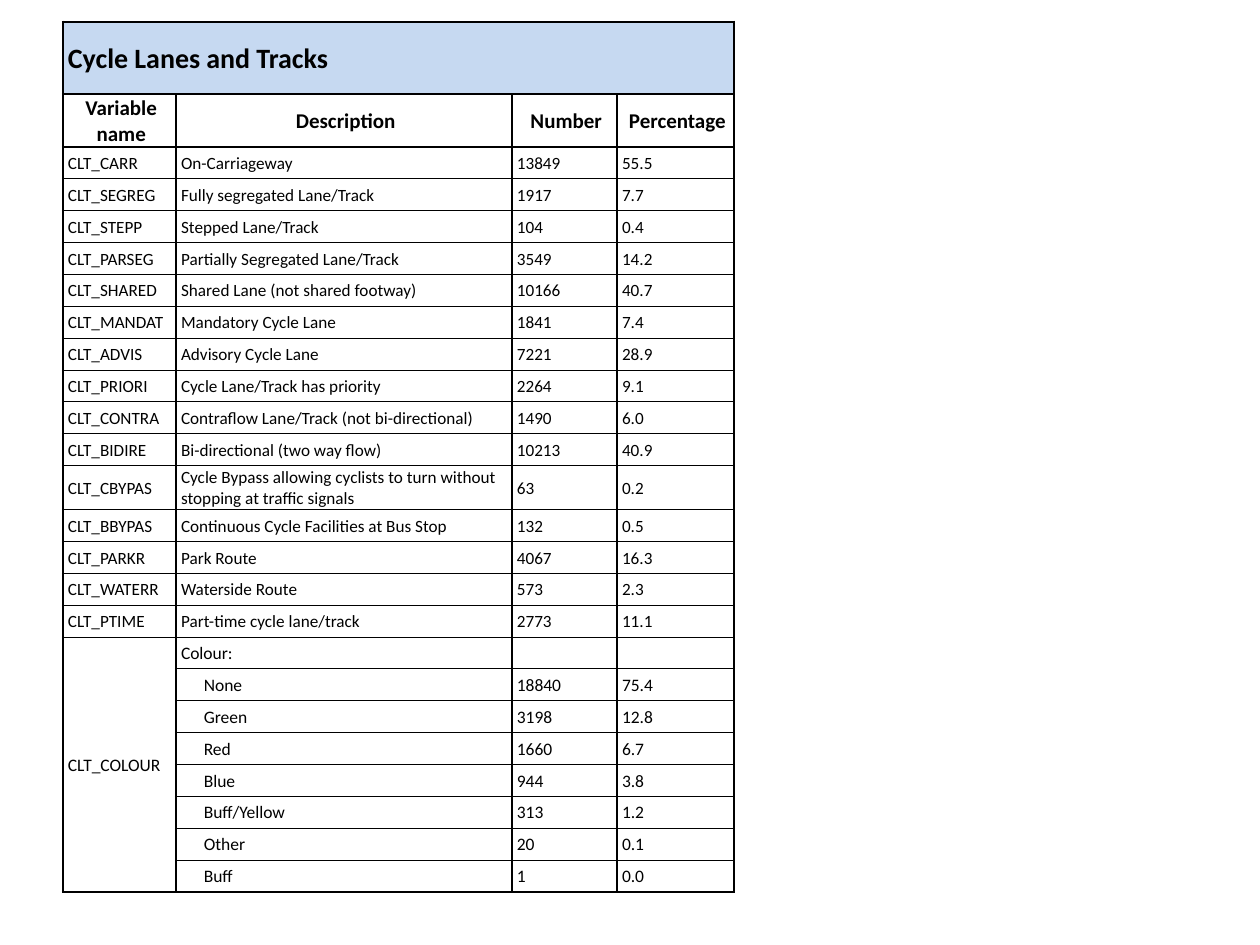
from lxml.etree import SubElement
from pptx import Presentation
from pptx.dml.color import RGBColor
from pptx.enum.text import MSO_ANCHOR, PP_ALIGN
from pptx.oxml.ns import qn
from pptx.util import Cm, Pt

BLACK = RGBColor(0x00, 0x00, 0x00)
WHITE = RGBColor(0xFF, 0xFF, 0xFF)
LIGHT_BLUE = RGBColor(0xC6, 0xD9, 0xF1)

FONT = "Calibri"
THICK, THIN = Pt(1.5), Pt(0.5)
INDENT = Cm(0.46)

COL_WIDTHS = [Cm(2.28), Cm(6.77), Cm(2.12), Cm(2.36)]
TITLE_H, HEADER_H, BYPASS_H = Cm(1.46), Cm(1.06), Cm(0.89)
TABLE_H = Cm(17.55)

TITLE = "Cycle Lanes and Tracks"
HEADERS = ["Variable name", "Description", "Number", "Percentage"]
BYPASS = "CLT_CBYPAS"
VARIABLES = [
    ("CLT_CARR", "On-Carriageway", "13849", "55.5"),
    ("CLT_SEGREG", "Fully segregated Lane/Track", "1917", "7.7"),
    ("CLT_STEPP", "Stepped Lane/Track", "104", "0.4"),
    ("CLT_PARSEG", "Partially Segregated Lane/Track", "3549", "14.2"),
    ("CLT_SHARED", "Shared Lane (not shared footway)", "10166", "40.7"),
    ("CLT_MANDAT", "Mandatory Cycle Lane", "1841", "7.4"),
    ("CLT_ADVIS", "Advisory Cycle Lane", "7221", "28.9"),
    ("CLT_PRIORI", "Cycle Lane/Track has priority", "2264", "9.1"),
    ("CLT_CONTRA", "Contraflow Lane/Track (not bi-directional)", "1490", "6.0"),
    ("CLT_BIDIRE", "Bi-directional (two way flow)", "10213", "40.9"),
    (BYPASS, "Cycle Bypass allowing cyclists to turn without\n"
             "stopping at traffic signals", "63", "0.2"),
    ("CLT_BBYPAS", "Continuous Cycle Facilities at Bus Stop", "132", "0.5"),
    ("CLT_PARKR", "Park Route", "4067", "16.3"),
    ("CLT_WATERR", "Waterside Route", "573", "2.3"),
    ("CLT_PTIME", "Part-time cycle lane/track", "2773", "11.1"),
]
COLOURS = [
    ("CLT_COLOUR", "Colour:", "", ""),
    ("", "None", "18840", "75.4"),
    ("", "Green", "3198", "12.8"),
    ("", "Red", "1660", "6.7"),
    ("", "Blue", "944", "3.8"),
    ("", "Buff/Yellow", "313", "1.2"),
    ("", "Other", "20", "0.1"),
    ("", "Buff", "1", "0.0"),
]


def set_borders(cell, top, bottom):
    """Thick sides, with the given widths above and below."""
    tc_pr = cell._tc.get_or_add_tcPr()
    for side, width in (("L", THICK), ("R", THICK), ("T", top), ("B", bottom)):
        ln = SubElement(tc_pr, qn(f"a:ln{side}"), w=str(int(width)))
        fill = SubElement(ln, qn("a:solidFill"))
        SubElement(fill, qn("a:srgbClr"), val=str(BLACK))


def style_cell(cell, fill, top=THIN, bottom=THIN):
    set_borders(cell, top, bottom)
    cell.fill.solid()
    cell.fill.fore_color.rgb = fill
    cell.vertical_anchor = MSO_ANCHOR.MIDDLE
    cell.margin_left, cell.margin_right = Cm(0.1), Cm(0.03)
    cell.margin_top, cell.margin_bottom = Cm(0.03), 0


def write_cell(cell, text, size, bold=False, align=PP_ALIGN.LEFT, indent=0):
    tf = cell.text_frame
    for i, line in enumerate(text.split("\n")):
        p = tf.add_paragraph() if i else tf.paragraphs[0]
        p.alignment = align
        if indent:
            p._p.get_or_add_pPr().set("marL", str(int(indent)))
        if not line:
            # An empty cell needs a small size to keep its row low
            SubElement(p._p, qn("a:endParaRPr"), sz=str(int(size * 100)))
            continue
        r = p.add_run()
        r.text = line
        r.font.name = FONT
        r.font.size = Pt(size)
        r.font.bold = bold
        r.font.color.rgb = BLACK


def add_grid(slide, n_rows):
    table = slide.shapes.add_table(n_rows, len(COL_WIDTHS), Cm(1.27), Cm(0.44),
                                   sum(COL_WIDTHS), TABLE_H).table
    table.first_row = table.horz_banding = False
    for column, width in zip(table.columns, COL_WIDTHS):
        column.width = width
    return table


def set_row_heights(table, body):
    special = TITLE_H + HEADER_H + BYPASS_H
    row_h = (TABLE_H - special) // (len(body) - 1)
    heights = [TITLE_H, HEADER_H]
    heights += [BYPASS_H if row[0] == BYPASS else row_h for row in body]
    for row, height in zip(table.rows, heights):
        row.height = height


def fill_heading(table):
    for c, header in enumerate(HEADERS):
        style_cell(table.cell(0, c), LIGHT_BLUE, THICK, THICK)
        style_cell(table.cell(1, c), WHITE, THICK, THICK)
        write_cell(table.cell(1, c), header, 12, True, PP_ALIGN.CENTER)
    table.cell(0, 0).merge(table.cell(0, len(HEADERS) - 1))
    write_cell(table.cell(0, 0), TITLE, 16, True)


def fill_body(table, body):
    first_colour = len(VARIABLES)
    last = len(body) - 1
    for i, row in enumerate(body):
        size = 9.8 if i < first_colour else 10
        for c, text in enumerate(row):
            cell = table.cell(i + 2, c)
            style_cell(cell, WHITE, THICK if i == 0 else THIN,
                       THICK if i == last or (c == 0 and i >= first_colour) else THIN)
            indent = INDENT if c == 1 and i > first_colour else 0
            write_cell(cell, text, size, indent=indent)
    # One variable name spans all the colours
    table.cell(first_colour + 2, 0).merge(table.cell(last + 2, 0))


def main():
    prs = Presentation()
    prs.slide_width, prs.slide_height = Cm(25.4), Cm(19.05)
    s = prs.slides.add_slide(prs.slide_layouts[6])

    body = VARIABLES + COLOURS
    table = add_grid(s, len(body) + 2)
    set_row_heights(table, body)
    fill_heading(table)
    fill_body(table, body)

    prs.save("out.pptx")


if __name__ == "__main__":
    main()
